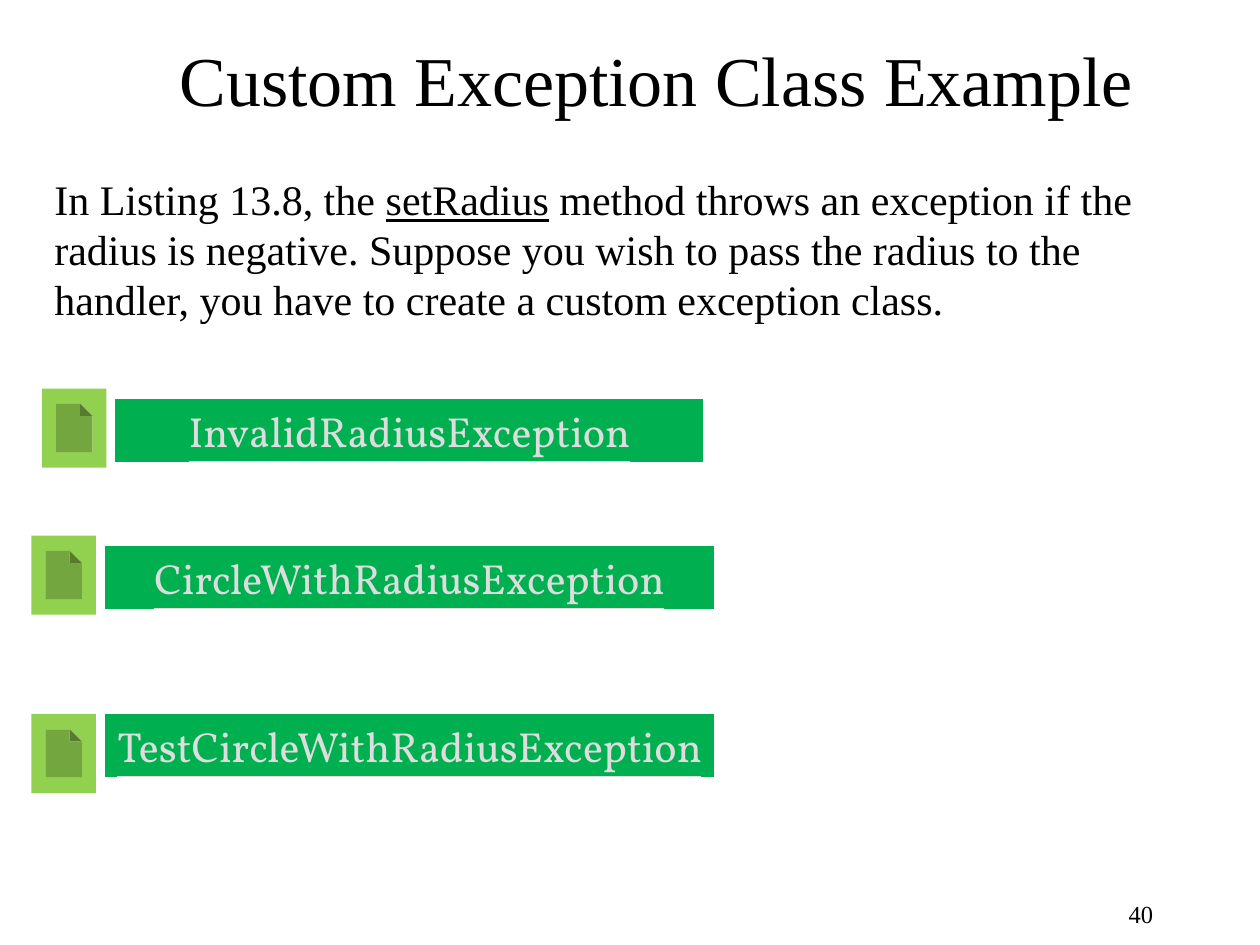
"""Build the slide that introduces a custom exception class."""
from pptx import Presentation
from pptx.dml.color import RGBColor
from pptx.enum.shapes import MSO_SHAPE
from pptx.enum.text import MSO_ANCHOR, PP_ALIGN
from pptx.util import Pt

BUTTON = MSO_SHAPE.ACTION_BUTTON_CUSTOM
DOCUMENT = MSO_SHAPE.ACTION_BUTTON_DOCUMENT
TOP, MIDDLE = MSO_ANCHOR.TOP, MSO_ANCHOR.MIDDLE
LEFT, CENTER, RIGHT = PP_ALIGN.LEFT, PP_ALIGN.CENTER, PP_ALIGN.RIGHT

COLORS = {
    "text": "000000",
    "button": "00B050",
    "label": "DDDDDD",
    "icon": "92D050",
}
SERIF, DISPLAY = "Times New Roman", "Vollkorn"


def write(frame, *runs, size=24, font=SERIF, color="text", align=LEFT,
          anchor=TOP, wrap=True, underlined=(), spacing=None):
    """Fill a text frame with one paragraph made of the given runs."""
    frame.word_wrap = wrap
    frame.vertical_anchor = anchor
    paragraph = frame.paragraphs[0]
    paragraph.alignment = align
    if spacing:
        paragraph.line_spacing = Pt(spacing)
    for words in runs:
        run = paragraph.add_run()
        run.text = words
        run.font.size = Pt(size)
        run.font.name = font
        run.font.color.rgb = RGBColor.from_string(COLORS[color])
        run.font.underline = words in underlined


def add_button(slide, preset, box, color):
    """Add a flat action button in the given box."""
    button = slide.shapes.add_shape(preset, *map(Pt, box))
    button.shadow.inherit = False
    button.fill.solid()
    button.fill.fore_color.rgb = RGBColor.from_string(COLORS[color])
    button.line.fill.background()
    return button


def add_heading(slide, box):
    """Place and fill the title placeholder."""
    heading = slide.shapes.title
    heading.left, heading.top, heading.width, heading.height = map(Pt, box)
    write(heading.text_frame, "Custom Exception Class Example", size=40,
          align=CENTER, anchor=MIDDLE)


def add_explanation(slide, box):
    """Add the paragraph that motivates the custom class."""
    explanation = slide.shapes.add_textbox(*map(Pt, box))
    write(explanation.text_frame, "In Listing 13.8, the ", "setRadius",
          " method throws an exception if the radius is negative. Suppose you "
          "wish to pass the radius to the handler, you have to create a custom "
          "exception class.",
          underlined=("setRadius",), spacing=28.6)


def add_listing_link(slide, class_name, box, icon_drop):
    """Add a document icon and a class button inside the box."""
    left, top, width, height = box
    icon_width, icon_height, label_offset = 36.8, 45.2, 42
    add_button(slide, DOCUMENT,
               (left, top + icon_drop, icon_width, icon_height), "icon")
    label = add_button(slide, BUTTON,
                       (left + label_offset, top, width - label_offset, height),
                       "button")
    write(label.text_frame, class_name, font=DISPLAY, color="label",
          align=CENTER, anchor=MIDDLE, wrap=False, underlined=(class_name,))


def add_page_number(slide, box):
    """Add the page number."""
    page_number = slide.shapes.add_textbox(*map(Pt, box))
    write(page_number.text_frame, "40", size=14, align=RIGHT, anchor=MIDDLE)


def main():
    """Build and save the slide."""
    deck = Presentation()
    deck.slide_width, deck.slide_height = Pt(720), Pt(540)
    slide = deck.slides.add_slide(deck.slide_layouts[5])
    add_heading(slide, (54, 24, 642, 42))
    add_explanation(slide, (24, 96, 678, 93.6))
    listings = (
        ("InvalidRadiusException", (24, 228, 378, 36), -6),
        ("CircleWithRadiusException", (18, 312, 390, 36), -6),
        ("TestCircleWithRadiusException", (18, 408, 390, 36), 0),
    )
    for class_name, box, icon_drop in listings:
        add_listing_link(slide, class_name, box, icon_drop)
    add_page_number(slide, (516, 504, 150, 36))
    deck.save("out.pptx")


main()
